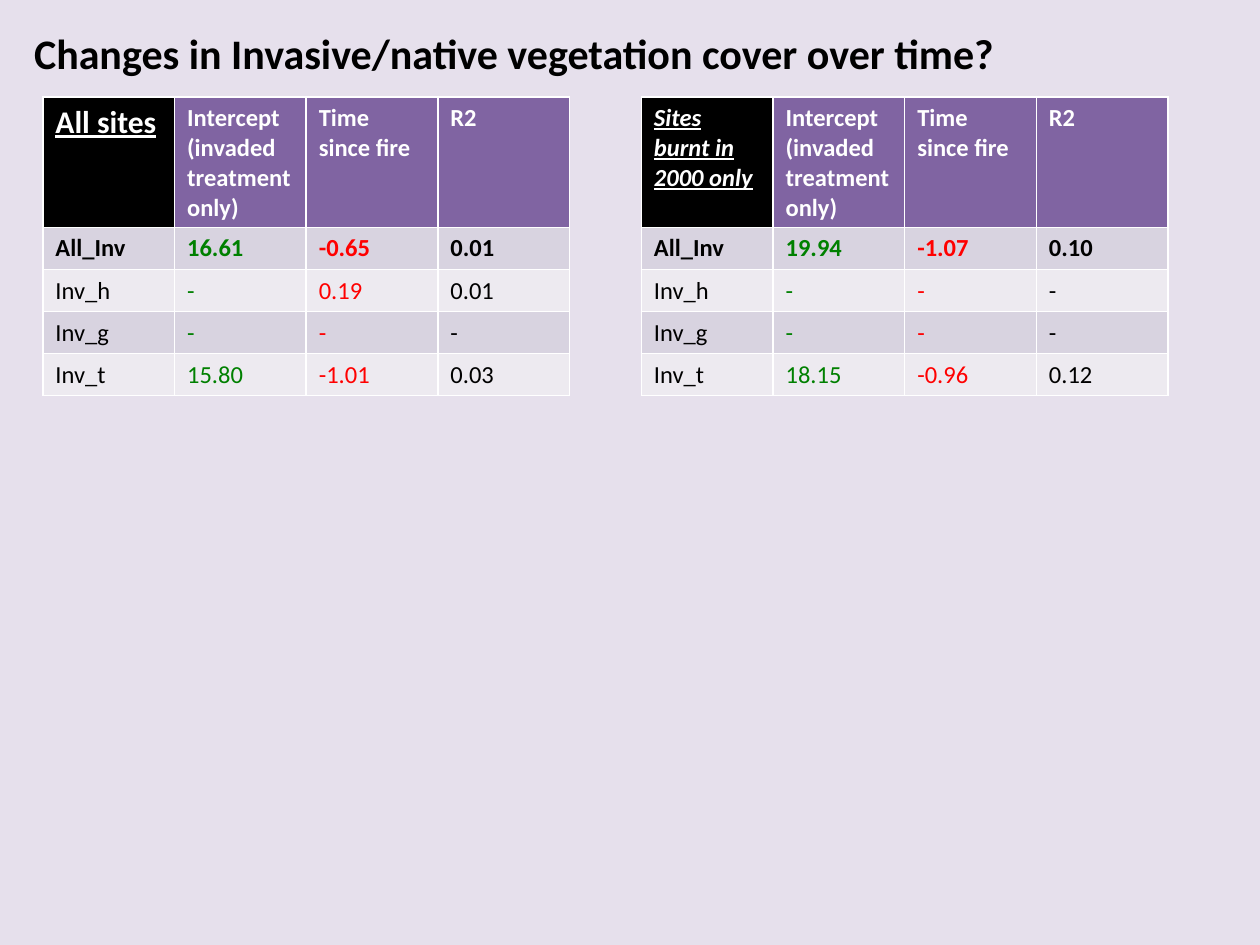
from dataclasses import dataclass
from pptx import Presentation
from pptx.dml.color import RGBColor as RGB
from pptx.enum.text import MSO_ANCHOR as Anchor, MSO_AUTO_SIZE as Fit, PP_ALIGN as Align
from pptx.util import Inches, Pt


@dataclass
class Theme:
    face: str = "Calibri"
    back: str = "E6E0EC"
    black: str = "000000"
    white: str = "FFFFFF"
    head: str = "8064A2"
    bands: tuple = ("D8D3E0", "EDEAF0")
    inks: tuple = ("000000", "008000", "FF0000", "000000")  # one per column
    title: int = 24
    large: int = 18
    body: int = 14


theme = Theme()


def style(font, size, ink, bold=False):
    font.name, font.size, font.bold = theme.face, Pt(size), bold
    font.color.rgb = RGB.from_string(ink)


def put(cell, text, fill, size, ink, bold):
    cell.text = text
    cell.fill.solid()
    cell.fill.fore_color.rgb = RGB.from_string(fill)
    font = cell.text_frame.paragraphs[0].font
    style(font, size, ink, bold)
    return font


# Slide and background
prs = Presentation()
prs.slide_width, prs.slide_height = Inches(10), Inches(7.5)
slide = prs.slides.add_slide(prs.slide_layouts[5])
slide.background.fill.solid()
slide.background.fill.fore_color.rgb = RGB.from_string(theme.back)

# Title
title = slide.shapes.title
title.left, title.top = Inches(0.17), Inches(0.17)
title.width, title.height = Inches(9.83), Inches(0.5)
frame = title.text_frame
frame.text = "Changes in Invasive/native vegetation cover over time?"
frame.word_wrap, frame.auto_size = True, Fit.SHAPE_TO_FIT_TEXT
frame.vertical_anchor = Anchor.TOP
para = frame.paragraphs[0]
para.alignment = Align.LEFT
style(para.font, theme.title, theme.black, True)

# Data: left edge, corner label, label size, italic, rows of values
heads = ["Intercept (invaded treatment only)", "Time since fire", "R2"]
names = ["All_Inv", "Inv_h", "Inv_g", "Inv_t"]
tables = [
    (0.34, "All sites", theme.large, False, [
        ["16.61", "-0.65", "0.01"],
        ["-", "0.19", "0.01"],
        ["-", "-", "-"],
        ["15.80", "-1.01", "0.03"],
    ]),
    (5.09, "Sites burnt in 2000 only", theme.body, True, [
        ["19.94", "-1.07", "0.10"],
        ["-", "-", "-"],
        ["-", "-", "-"],
        ["18.15", "-0.96", "0.12"],
    ]),
]

# Tables: the default table style draws the white rules
for left, label, size, slant, rows in tables:
    grid = slide.shapes.add_table(
        5, 4, Inches(left), Inches(0.77), Inches(4.18), Inches(2.37)).table
    for num, row in enumerate(grid.rows):
        row.height = Inches(0.33 if num else 1.03)

    # Header row
    font = put(grid.cell(0, 0), label, theme.black, size, theme.white, True)
    font.underline, font.italic = True, slant
    for col, text in enumerate(heads, 1):
        put(grid.cell(0, col), text, theme.head, theme.body, theme.white, True)

    # Value rows, the total in bold
    for num, (name, vals) in enumerate(zip(names, rows)):
        for col, text in enumerate([name] + vals):
            put(grid.cell(num + 1, col), text, theme.bands[num % 2],
                theme.body, theme.inks[col], num == 0)

prs.save("out.pptx")
